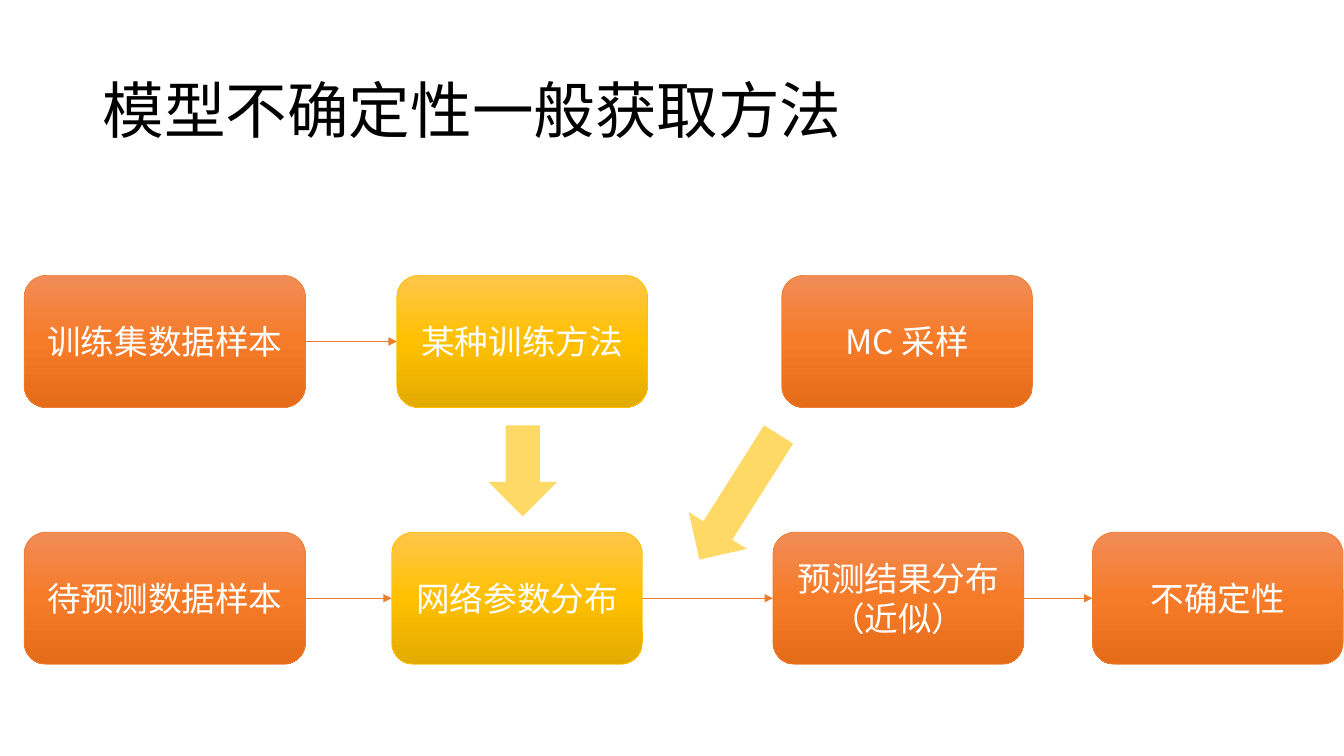
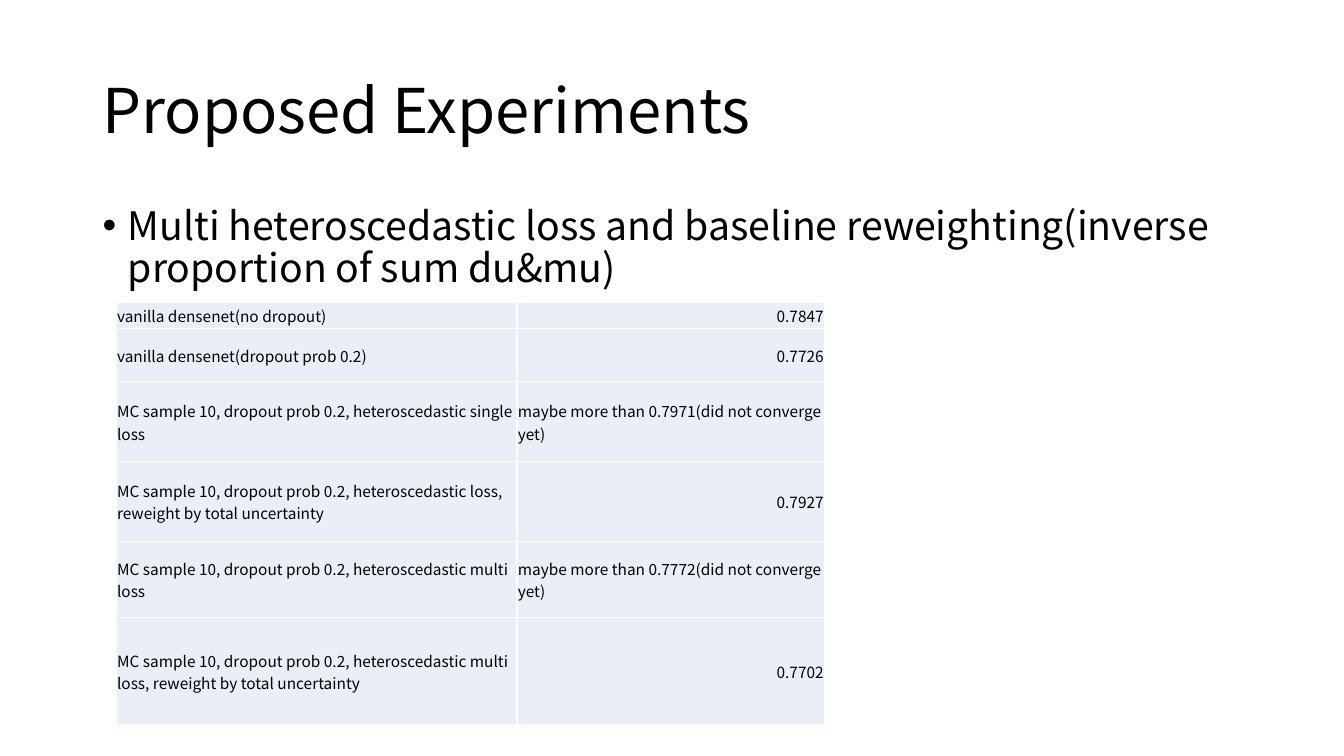
from copy import deepcopy

from lxml import etree
from pptx import Presentation
from pptx.dml.color import RGBColor
from pptx.enum.shapes import MSO_CONNECTOR, MSO_SHAPE
from pptx.enum.text import MSO_ANCHOR, MSO_AUTO_SIZE, PP_ALIGN
from pptx.oxml import parse_xml
from pptx.oxml.ns import nsdecls, qn
from pptx.util import Cm, Pt

FONT = "Noto Sans CJK SC"
COLORS = {
    "text": "000000",
    "white": "FFFFFF",
    "orange": "ED7D31",
    "gold": "FFC000",
    "block_arrow": "FFD966",
    "cell": "EAEFF7",
}
GRADIENTS = {
    "orange": ("F18C57", "F67B28", "E56C19"),
    "gold": ("FFC64B", "FFC000", "E3AB00"),
}


def rgb(name):
    return RGBColor.from_string(COLORS[name])


def add_text(paragraph, text, size, color="text", align=PP_ALIGN.LEFT):
    paragraph.alignment = align
    run = paragraph.add_run()
    run.text = text
    run.font.size = Pt(size)
    run.font.name = FONT
    run.font.color.rgb = rgb(color)
    east_asian = etree.SubElement(run._r.get_or_add_rPr(), qn("a:ea"))
    east_asian.set("typeface", FONT)


presentation = Presentation()
presentation.slide_width = Cm(33.87)
presentation.slide_height = Cm(19.05)

# Slides with their titles
slides = []
for layout_name, title in (
    ("Title Only", "模型不确定性一般获取方法"),
    ("Title and Content", "Proposed Experiments"),
):
    slide = presentation.slides.add_slide(presentation.slide_layouts.get_by_name(layout_name))
    shape = slide.shapes.title
    shape.left, shape.top, shape.width, shape.height = Cm(2.33), Cm(1.01), Cm(29.21), Cm(3.68)
    shape.text_frame.vertical_anchor = MSO_ANCHOR.MIDDLE
    paragraph = shape.text_frame.paragraphs[0]
    paragraph.line_spacing = 0.9
    add_text(paragraph, title, 44)
    slides.append(slide)
flow_slide, experiment_slide = slides

# Flow boxes: left, top, width, palette
TOP_ROW, BOTTOM_ROW = 6.94, 13.41
WIDE, NARROW, BOX_HEIGHT = 7.09, 6.32, 3.33
boxes = {}
for text, left, top, width, palette in (
    ("训练集数据样本", 0.61, TOP_ROW, WIDE, "orange"),
    ("某种训练方法", 10.0, TOP_ROW, NARROW, "gold"),
    ("MC 采样", 19.7, TOP_ROW, NARROW, "orange"),
    ("待预测数据样本", 0.61, BOTTOM_ROW, WIDE, "orange"),
    ("网络参数分布", 9.87, BOTTOM_ROW, NARROW, "gold"),
    ("预测结果分布（近似）", 19.48, BOTTOM_ROW, NARROW, "orange"),
    ("不确定性", 27.53, BOTTOM_ROW, NARROW, "orange"),
):
    shape = flow_slide.shapes.add_shape(
        MSO_SHAPE.ROUNDED_RECTANGLE, Cm(left), Cm(top), Cm(width), Cm(BOX_HEIGHT)
    )
    shape.shadow.inherit = False
    shape.fill.gradient()
    shape.fill.gradient_angle = 270
    # A third stop halfway down
    stop_list = shape.element.spPr.find(".//" + qn("a:gsLst"))
    middle_stop = deepcopy(stop_list[0])
    middle_stop.set("pos", "50000")
    stop_list.insert(1, middle_stop)
    for stop, color in zip(shape.fill.gradient_stops, GRADIENTS[palette]):
        stop.color.rgb = RGBColor.from_string(color)
    shape.line.color.rgb = rgb(palette)
    shape.line.width = Pt(0.5)
    shape.text_frame.word_wrap = True
    shape.text_frame.vertical_anchor = MSO_ANCHOR.MIDDLE
    add_text(shape.text_frame.paragraphs[0], text, 24, "white", PP_ALIGN.CENTER)
    boxes[text] = shape

# Thin arrows from right edge to left edge
RIGHT_SITE, LEFT_SITE = 3, 1
for start, end in (
    ("训练集数据样本", "某种训练方法"),
    ("待预测数据样本", "网络参数分布"),
    ("网络参数分布", "预测结果分布（近似）"),
    ("预测结果分布（近似）", "不确定性"),
):
    connector = flow_slide.shapes.add_connector(MSO_CONNECTOR.STRAIGHT, 0, 0, 0, 0)
    connector.begin_connect(boxes[start], RIGHT_SITE)
    connector.end_connect(boxes[end], LEFT_SITE)
    connector.line.color.rgb = rgb("orange")
    connector.line.width = Pt(0.5)
    line = connector.line._get_or_add_ln()
    etree.SubElement(line, qn("a:tailEnd")).set("type", "triangle")
    etree.SubElement(connector.element.spPr, qn("a:effectLst"))

# Block arrows
for left, top, height, rotation in ((12.31, 10.72, 2.29, 0), (17.76, 10.66, 3.73, 32.3)):
    shape = flow_slide.shapes.add_shape(
        MSO_SHAPE.DOWN_ARROW, Cm(left), Cm(top), Cm(1.73), Cm(height)
    )
    shape.rotation = rotation
    shape.shadow.inherit = False
    shape.fill.solid()
    shape.fill.fore_color.rgb = rgb("block_arrow")
    shape.line.fill.background()

# Bullet
shape = experiment_slide.placeholders[1]
shape.left, shape.top, shape.width, shape.height = Cm(2.33), Cm(5.07), Cm(29.21), Cm(12.09)
shape.text_frame.auto_size = MSO_AUTO_SIZE.TEXT_TO_FIT_SHAPE
paragraph = shape.text_frame.paragraphs[0]
paragraph.line_spacing = 0.9
paragraph.space_before = Pt(10)
properties = paragraph._p.get_or_add_pPr()
properties.set("marL", str(Cm(0.64)))
properties.set("indent", str(-Cm(0.64)))
add_text(
    paragraph,
    "Multi heteroscedastic loss and baseline reweighting(inverse proportion of sum du&mu)",
    28,
)

# Results table
results = (
    (0.66, "vanilla densenet(no dropout)", "0.7847"),
    (1.34, "vanilla densenet(dropout prob 0.2)", "0.7726"),
    (2.01, "MC sample 10, dropout prob 0.2, heteroscedastic single loss",
     "maybe more than 0.7971(did not converge yet)"),
    (2.01, "MC sample 10, dropout prob 0.2, heteroscedastic loss, reweight by total uncertainty",
     "0.7927"),
    (1.93, "MC sample 10, dropout prob 0.2, heteroscedastic multi loss",
     "maybe more than 0.7772(did not converge yet)"),
    (2.7, "MC sample 10, dropout prob 0.2, heteroscedastic multi loss, reweight by total uncertainty",
     "0.7702"),
)
column_widths = (10.1, 7.75)
table = experiment_slide.shapes.add_table(
    len(results), len(column_widths), Cm(2.93), Cm(7.62),
    Cm(sum(column_widths)), Cm(sum(row[0] for row in results)),
).table
table.first_row = False
table.horz_banding = False
for column, width in zip(table.columns, column_widths):
    column.width = Cm(width)
for row, (height, *texts) in zip(table.rows, results):
    row.height = Cm(height)
    for cell, text in zip(row.cells, texts):
        cell.vertical_anchor = MSO_ANCHOR.MIDDLE
        cell.margin_left = cell.margin_right = cell.margin_top = Cm(0.02)
        cell.margin_bottom = 0
        cell.fill.solid()
        cell.fill.fore_color.rgb = rgb("cell")
        is_number = text[0].isdigit()
        add_text(cell.text_frame.paragraphs[0], text, 11,
                 align=PP_ALIGN.RIGHT if is_number else PP_ALIGN.LEFT)
        # White cell borders
        for index, side in enumerate(("lnL", "lnR", "lnT", "lnB")):
            border = parse_xml(
                f'<a:{side} {nsdecls("a")} w="{Pt(1)}"><a:solidFill>'
                f'<a:srgbClr val="{COLORS["white"]}"/></a:solidFill></a:{side}>'
            )
            cell._tc.get_or_add_tcPr().insert(index, border)

presentation.save("out.pptx")
